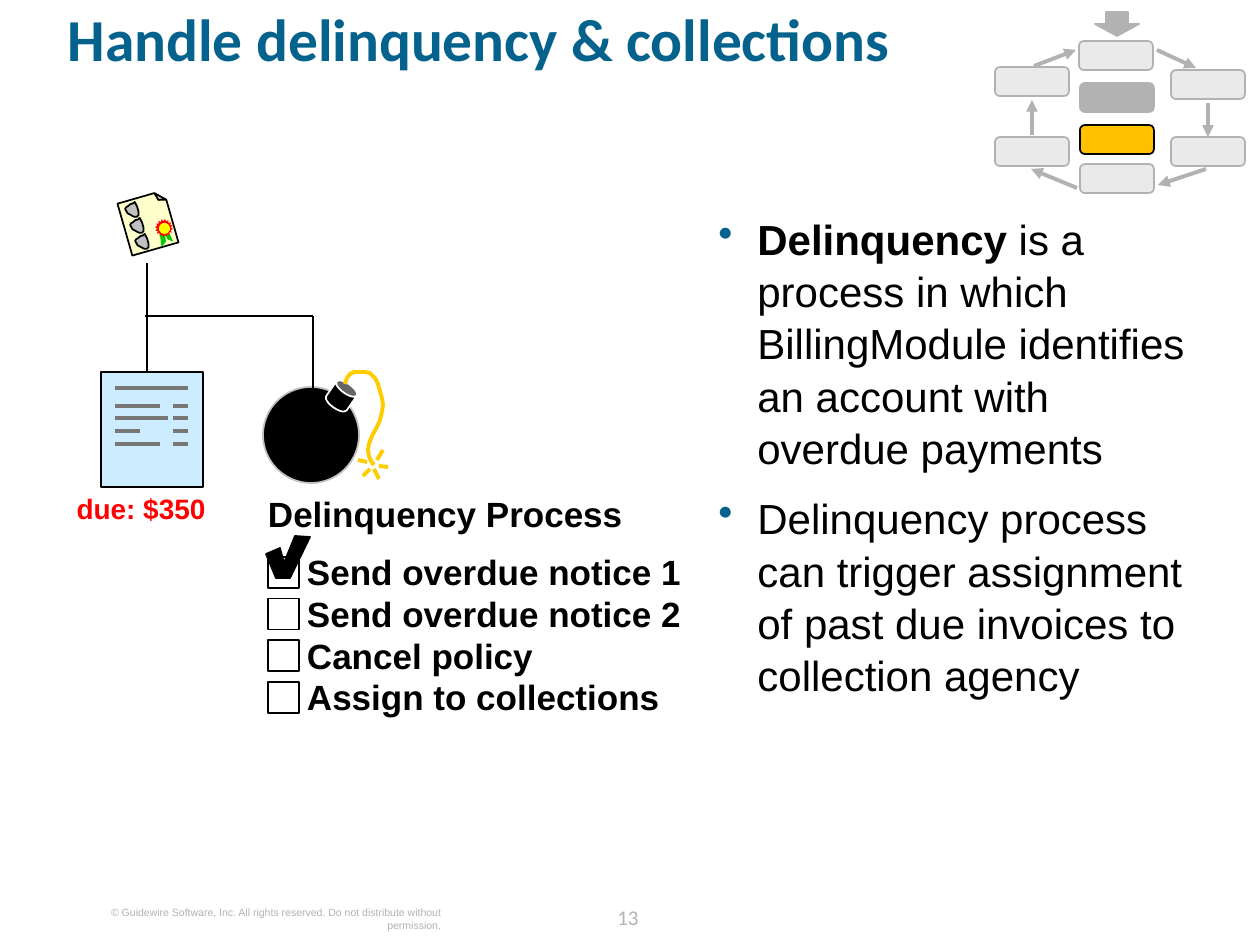
from lxml import etree
from pptx import Presentation
from pptx.dml.color import RGBColor
from pptx.enum.shapes import MSO_CONNECTOR, MSO_SHAPE
from pptx.enum.text import PP_ALIGN
from pptx.oxml.ns import qn
from pptx.util import Pt

PX = 914400 / 126  # EMU in one pixel


def emu(*lengths):
    return [round(length * PX) for length in lengths]


def color(hex_string):
    return RGBColor.from_string(hex_string)


presentation = Presentation()
presentation.slide_width, presentation.slide_height = emu(1260, 945)
slide = presentation.slides.add_slide(presentation.slide_layouts[6])
shapes = slide.shapes

# Every drawn part is kept with its (fill, line colour, line width)
styles = []
GRAY_BOX = ("EAEAEA", "B2B2B2", 1)
GRAY_ARROW = (None, "B2B2B2", 2.25)
BLACK_LINE = (None, "000000", 1)
FUSE = (None, "FFCC00", 2.25)

# Process cycle: boxes
cycle_boxes = [
    (1080, 125, ("FFC000", "000000", 1)),
    (1079, 41, GRAY_BOX),
    (1080, 164, GRAY_BOX),
    (1171, 70, GRAY_BOX),
    (995, 137, GRAY_BOX),
    (995, 67, GRAY_BOX),
    (1080, 83, ("B2B2B2", "B2B2B2", 1)),
    (1171, 137, GRAY_BOX),
]
for left, top, style in cycle_boxes:
    box = shapes.add_shape(MSO_SHAPE.ROUNDED_RECTANGLE, *emu(left, top, 74, 29))
    box.adjustments[0] = 0.17
    styles.append((box, style))
lower_right_box = box

# Process cycle: arrows
cycle_arrows = [
    (1157, 50, 1196, 68),
    (1206, 169, 1158, 185),
    (1077, 188, 1031, 169),
    (1034, 66, 1076, 50),
    (1032, 135, 1032, 100),
    (1208, 103, 1208, 137),
]
for ends in cycle_arrows:
    arrow = shapes.add_connector(MSO_CONNECTOR.STRAIGHT, *emu(*ends))
    line_xml = arrow.line._get_or_add_ln()
    etree.SubElement(line_xml, qn("a:tailEnd"), type="triangle")
    styles.append((arrow, GRAY_ARROW))
arrow.end_connect(lower_right_box, 0)
entry_arrow = shapes.add_shape(MSO_SHAPE.RIGHT_ARROW, *emu(1105, 2, 24, 44))
entry_arrow.rotation = 90
styles.append((entry_arrow, ("B2B2B2", "B2B2B2", 1)))

# Invoice under the policy
branch = shapes.add_connector(MSO_CONNECTOR.STRAIGHT, *emu(147, 383, 147, 263))
styles.append((branch, BLACK_LINE))
invoice = shapes.add_shape(MSO_SHAPE.FOLDED_CORNER, *emu(101, 372, 102, 115))
invoice.rotation = 180
styles.append((invoice, ("CCECFF", "000000", 1)))
invoice_rows = [(388, 188), (406, 160), (418, 168), (431, 140), (444, 160)]
invoice_lines = [(115, y, right, y) for y, right in invoice_rows]
invoice_lines += [(173, y, 188, y) for y, right in invoice_rows[1:]]
for ends in invoice_lines:
    text_line = shapes.add_connector(MSO_CONNECTOR.STRAIGHT, *emu(*ends))
    styles.append((text_line, (None, "777777", 2.25)))

# Bomb with its sparks and fuse
bomb = shapes.add_shape(MSO_SHAPE.OVAL, *emu(263, 387, 96, 96))
styles.append((bomb, ("000000", "C0C0C0", 1)))
cap = shapes.add_shape(MSO_SHAPE.CAN, *emu(329, 382, 25, 28))
cap.adjustments[0] = 0.4
cap.rotation = 35
styles.append((cap, ("000000", "FFFFFF", 1)))
sparks = [
    (377, 460, 383, 450),
    (379, 466, 388, 467),
    (374, 469, 379, 479),
    (370, 469, 363, 476),
    (367, 462, 358, 460),
]
for ends in sparks:
    spark = shapes.add_connector(MSO_CONNECTOR.STRAIGHT, *emu(*ends))
    styles.append((spark, FUSE))
fuse_points = [
    (345, 384), (347, 378), (350, 374), (354, 372), (358, 372), (365, 372),
    (370, 373), (375, 378), (378, 384), (380, 391), (382, 398), (383, 405),
    (382, 412), (380, 420), (377, 427), (372, 436), (369, 444), (368, 450),
    (369, 456), (371, 461), (374, 465),
]
builder = shapes.build_freeform(*fuse_points[0], scale=PX)
builder.add_line_segments(fuse_points[1:], close=False)
styles.append((builder.convert_to_shape(), FUSE))

# Branch from the policy to the bomb
for ends in [(145, 316, 313, 316), (313, 316, 313, 443)]:
    branch = shapes.add_connector(MSO_CONNECTOR.STRAIGHT, *emu(*ends))
    styles.append((branch, BLACK_LINE))

# Check boxes, the first one ticked
steps = ["Send overdue notice 1", "Send overdue notice 2",
         "Cancel policy", "Assign to collections"]
STEP_PITCH = 41.6
for row in range(len(steps)):
    check_box = shapes.add_shape(
        MSO_SHAPE.RECTANGLE, *emu(268, 557 + row * STEP_PITCH, 31, 31))
    styles.append((check_box, ("FFFFFF", "000000", 1)))
builder = shapes.build_freeform(266, 554, scale=PX)
builder.add_line_segments(
    [(276, 578), (290, 578), (310, 537), (295, 536), (284, 563), (280, 548)])
styles.append((builder.convert_to_shape(), ("000000", "000000", 1)))

# Policy sheet with three shields
sheet = shapes.add_shape(MSO_SHAPE.FOLDED_CORNER, *emu(121, 199, 54, 48))
sheet.rotation = 254
styles.append((sheet, ("FFFFCC", "000000", 1)))
for page, fold in [(invoice, 0), (sheet, 20000)]:
    guides = page._element.spPr.find(".//" + qn("a:avLst"))
    for guide in list(guides):
        guides.remove(guide)
    etree.SubElement(guides, qn("a:gd"), name="adj", fmla=f"val {fold}")
shield_points = [
    (9, 15), (6, 14), (3, 11), (1, 9), (0, 5), (0, 4), (1, 3), (4, 2),
    (6, 1), (9, 1), (11, 0), (12, 5), (12, 8), (12, 10), (11, 14),
]
for number in range(3):
    left, top = 126 + 5 * number, 203 + 16 * number
    points = [(left + x, top + y) for x, y in shield_points]
    builder = shapes.build_freeform(*points[0], scale=PX)
    builder.add_line_segments(points[1:])
    shield = builder.convert_to_shape()
    shield.rotation = 344
    styles.append((shield, ("C0C0C0", "000000", 1)))

# Rosette on the policy sheet
rosette = [
    (MSO_SHAPE.PARALLELOGRAM, (155, 236, 16, 5), 262.9, 0.88, "00CC00"),
    (MSO_SHAPE.PARALLELOGRAM, (160, 233, 16, 4), 65.1, 0.98, "00CC00"),
    (MSO_SHAPE.STAR_16_POINT, (155, 219, 18, 18), 344, 0.38, "FF0000"),
    (MSO_SHAPE.OVAL, (159, 223, 11, 11), 344, None, "FFFF00"),
]
for kind, frame, angle, adjustment, fill in rosette:
    part = shapes.add_shape(kind, *emu(*frame))
    part.rotation = angle
    if adjustment:
        part.adjustments[0] = adjustment
    if angle == 262.9:
        part._element.spPr.find(qn("a:xfrm")).set("flipH", "1")
    styles.append((part, (fill, None, 0)))

# Apply fills and lines, and drop theme shadows
for shape, (fill, line_color, width) in styles:
    if hasattr(shape, "shadow"):
        shape.shadow.inherit = False
    else:
        etree.SubElement(shape._element.spPr, qn("a:effectLst"))
    if fill:
        shape.fill.solid()
        shape.fill.fore_color.rgb = color(fill)
    elif hasattr(shape, "fill"):
        shape.fill.background()
    if line_color:
        shape.line.color.rgb = color(line_color)
        shape.line.width = Pt(width)
    else:
        shape.line.fill.background()

# Single-paragraph texts: frame, text, font, size, colour, bold, alignment, spacing
copyright_line = ("© Guidewire Software, Inc. All rights reserved. "
                  "Do not distribute without permission.")
texts = [
    ((68, 16, 1147, 102), "Handle delinquency & collections",
     "Calibri", 34, "04628C", True, PP_ALIGN.LEFT, 0.8),
    ((592, 898, 72, 32), "13", "Calibri", 12, "B2B2B2", False, PP_ALIGN.CENTER, Pt(18)),
    ((77, 906, 364, 26), copyright_line,
     "Arial", 6, "B2B2B2", False, PP_ALIGN.RIGHT, None),
    ((74, 492, 134, 34), "due: $350", "Arial", 16, "FF0000", True, PP_ALIGN.CENTER, None),
    ((268, 492, 391, 42), "Delinquency Process",
     "Arial", 20, "000000", True, PP_ALIGN.LEFT, None),
]
for row, step in enumerate(steps):
    texts.append(((307, 551 + row * STEP_PITCH, 441, 42), step,
                  "Arial", 20, "000000", True, PP_ALIGN.LEFT, None))
for frame, text, font, size, text_color, bold, alignment, spacing in texts:
    text_frame = shapes.add_textbox(*emu(*frame)).text_frame
    text_frame.word_wrap = True
    text_frame.margin_left = text_frame.margin_right = 0
    text_frame.margin_top = text_frame.margin_bottom = 0
    text_frame.text = text
    paragraph = text_frame.paragraphs[0]
    paragraph.alignment = alignment
    paragraph.line_spacing = spacing
    run = paragraph.runs[0]
    run.font.name, run.font.size, run.font.bold = font, Pt(size), bold
    run.font.color.rgb = color(text_color)

# Bulleted explanation
bullets = [
    [("Delinquency", True), (" is a process in which BillingModule identifies "
                             "an account with overdue payments", False)],
    [("Delinquency process can trigger assignment of past due invoices "
      "to collection agency", False)],
]
text_frame = shapes.add_textbox(*emu(706, 205, 512, 609)).text_frame
text_frame.word_wrap = True
for index, parts in enumerate(bullets):
    paragraph = text_frame.add_paragraph() if index else text_frame.paragraphs[0]
    properties = paragraph._p.get_or_add_pPr()
    properties.set("marL", str(emu(39)[0]))
    properties.set("indent", str(emu(-39)[0]))
    bullet_color = etree.SubElement(properties, qn("a:buClr"))
    etree.SubElement(bullet_color, qn("a:srgbClr"), val="04628C")
    etree.SubElement(properties, qn("a:buChar"), char="•")
    paragraph.line_spacing = 1.04
    paragraph.space_before = Pt(10 * index)
    for text, bold in parts:
        run = paragraph.add_run()
        run.text = text
        run.font.name, run.font.size, run.font.bold = "Arial", Pt(24), bold
        run.font.color.rgb = color("000000")

presentation.save("out.pptx")
